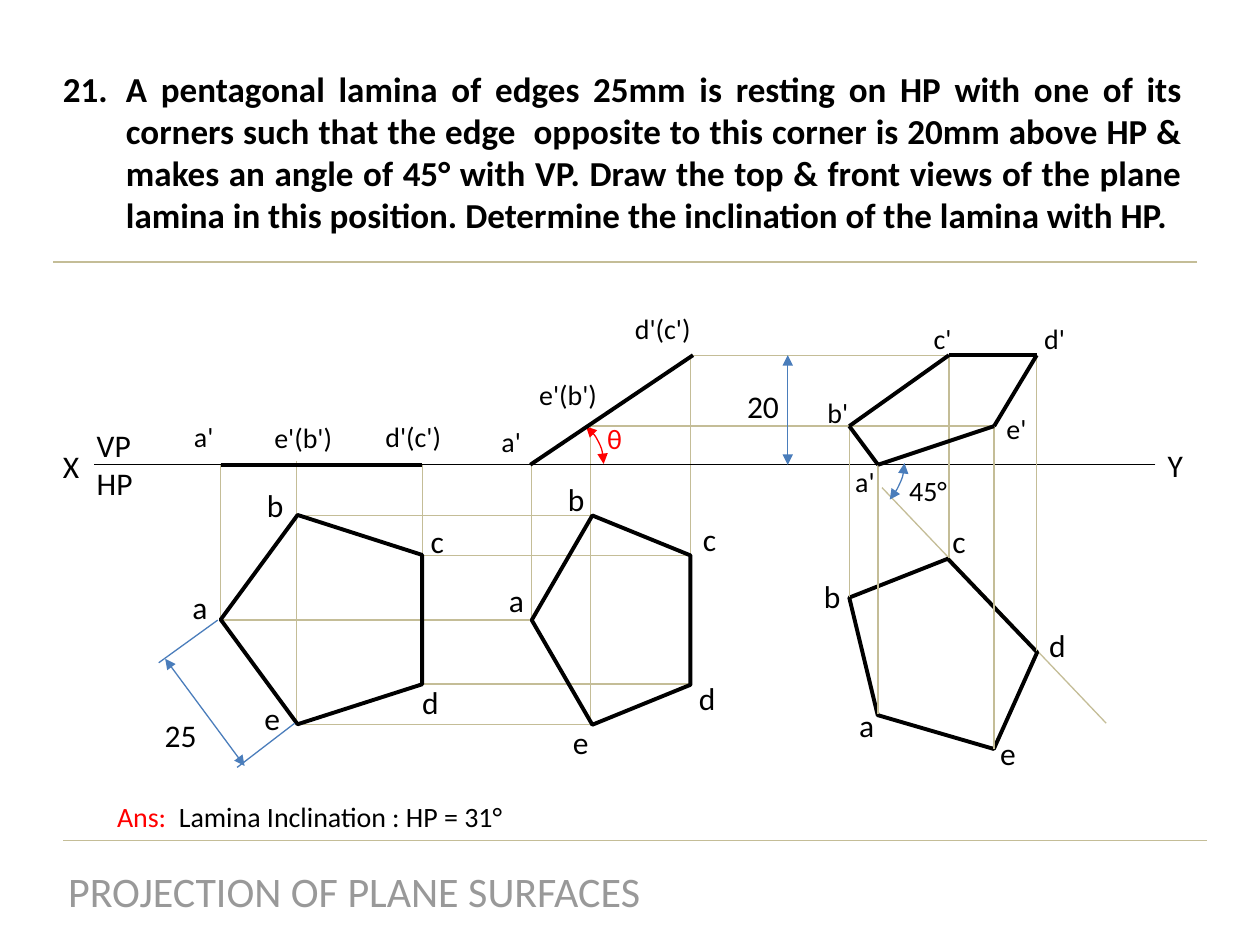
from dataclasses import dataclass
from typing import Optional

from lxml import etree
from pptx import Presentation
from pptx import util as u
from pptx.dml.color import RGBColor
from pptx.enum import shapes, text
from pptx.oxml.ns import qn


@dataclass(frozen=True)
class Theme:
    font: str = "Calibri"
    ink: str = "000000"
    guide: str = "C4BD97"
    dim: str = "4A7DBB"
    accent: str = "FF0000"
    footer: str = "999999"
    footer_pt: int = 24
    title_pt: int = 20
    point_pt: int = 18
    note_pt: int = 16
    thin: float = 0.75
    thick: float = 2.25


T = Theme()


@dataclass(frozen=True)
class Line:
    x1: float
    y1: float
    x2: float
    y2: float
    color: str = T.guide
    width: float = T.thin
    arrows: bool = False


@dataclass(frozen=True)
class Outline:
    kind: shapes.MSO_SHAPE
    x: float
    y: float
    w: float
    h: float
    rotation: float = 0
    color: str = T.ink
    width: float = T.thick
    angles: Optional[tuple[float, float]] = None


@dataclass(frozen=True)
class Label:
    x: float
    y: float
    words: str
    size: int = T.point_pt
    w: float = 0.97
    color: str = T.ink


# Levels and columns shared by the views, in centimetres
TOP, MID, XY = 7.16, 8.59, 9.37
YB, YC, YA, YD, YE = 10.39, 11.2, 12.5, 13.79, 14.6
A1, B1, C1 = 4.45, 5.97, 8.51
A2, B2, C2 = 10.72, 11.91, 13.92
A3, B3, C3, D3, E3 = 17.7, 17.12, 19.13, 20.9, 20.04
DIM_X = 15.88

RULES = [Line(24.33, 16.94, 1.27, 16.94), Line(24.13, 5.28, 1.07, 5.28)]
GUIDES = [
    *(Line(x1, y, x2, y) for x1, x2, y in (
        (C2, D3, TOP), (B2, E3, MID), (B1, B2, YB), (C1, C2, YC),
        (A1, A2, YA), (C1, C2, YD), (B1, B2, YE))),
    *(Line(x, y1, x, y2) for x, y1, y2 in (
        (A1, YA, XY), (B1, YE, 9.3), (C1, YD, XY),
        (A2, YA, XY), (B2, YE, MID), (C2, YD, TOP))),
    Line(17.78, 9.83, 22.3, 14.58),
]
FINAL_PROJECTORS = [Line(x, y1, x, y2) for x, y1, y2 in (
    (B3, 12.04, MID), (A3, 14.4, XY), (E3, 15.09, MID),
    (D3, 13.13, TOP), (C3, 11.25, TOP))]

FINAL_FRONT = [(A3, XY), (E3, MID), (D3, TOP), (C3, TOP), (B3, MID), (A3, XY)]
EDGES = [Line(*p, *q, T.ink, T.thick) for p, q in [
    ((A1, XY), (C1, XY)), ((A2 - 0.03, XY), (C2 + 0.05, TOP)),
    *zip(FINAL_FRONT, FINAL_FRONT[1:])]]
DIMENSIONS = [
    Line(3.33, 13.28, 4.93, 15.44, T.dim, arrows=True),
    Line(3.2, 13.36, 4.39, 12.5, T.dim),
    Line(4.78, 15.47, 5.94, 14.58, T.dim),
    Line(DIM_X, TOP, DIM_X, XY, T.dim, arrows=True),
]

PENTAGON, ARC = shapes.MSO_SHAPE.REGULAR_PENTAGON, shapes.MSO_SHAPE.ARC
PENTAGONS = [
    Outline(PENTAGON, 4.37, 10.46, 4.22, 4.06, 270),
    Outline(PENTAGON, 10.21, 10.9, 4.22, 3.2, 270),
    Outline(PENTAGON, 16.74, 11.71, 4.22, 3.2, 226.3),
]
ANGLES = [
    Outline(ARC, 10.49, 8.43, 1.68, 1.85, 0, T.accent, T.thin, (181.63, 0)),
    Outline(ARC, 16.71, 8.69, 1.3, 2.11, 44.6, T.dim, T.thin, (174.23, 207)),
]

LABELS = [
    *(Label(x, y, name) for x, y, name in (
        (1.02, 8.89, "X"), (23.29, 8.86, "Y"),
        (3.63, 11.73, "a"), (5.13, 9.68, "b"), (8.43, 10.39, "c"),
        (8.26, 13.64, "d"), (5.08, 13.97, "e"),
        (10.01, 11.58, "a"), (11.2, 9.55, "b"), (13.92, 10.36, "c"),
        (13.84, 13.56, "d"), (11.3, 14.45, "e"),
        (17.07, 14.1, "a"), (16.36, 11.51, "b"), (18.95, 10.39, "c"),
        (20.9, 12.5, "d"), (19.91, 14.68, "e"))),
    *(Label(x, y, name, T.note_pt) for x, y, name in (
        (3.66, 8.33, "a'"), (9.86, 8.43, "a'"), (16.99, 9.25, "a'"),
        (16.43, 7.85, "b'"), (18.57, 6.35, "c'"), (20.8, 6.35, "d'"),
        (20.04, 8.18, "e'"))),
    *(Label(x, y, name, T.note_pt, 1.75) for x, y, name in (
        (5.28, 8.36, "e'(b')"), (7.52, 8.33, "d'(c')"),
        (10.62, 7.49, "e'(b')"), (12.55, 6.15, "d'(c')"))),
    Label(1.7, 8.46, "VP\nHP", w=1.3),
    Label(3.07, 14.3, "25", w=1.2),
    Label(14.81, 7.67, "20", w=1.2),
    Label(11.99, 8.38, "θ", T.note_pt, 1.42, T.accent),
    Label(18.08, 9.42, "45°", T.note_pt, 1.42),
]

PROBLEM = ("A pentagonal lamina of edges 25mm is resting on HP with one of its corners "
           "such that the edge  opposite to this corner is 20mm above HP & makes an angle "
           "of 45° with VP. Draw the top & front views of the plane lamina in this "
           "position. Determine the inclination of the lamina with HP.")


def style_line(sp, color: str, width: float, arrows: bool) -> None:
    sp.line.color.rgb = RGBColor.from_string(color)
    sp.line.width = u.Pt(width)
    if arrows:
        ln = sp._element.spPr.find(qn("a:ln"))
        for end in ("a:headEnd", "a:tailEnd"):
            etree.SubElement(ln, qn(end), type="triangle")


def draw_line(s, line: Line) -> None:
    ends = (u.Cm(v) for v in (line.x1, line.y1, line.x2, line.y2))
    sp = s.shapes.add_connector(shapes.MSO_CONNECTOR.STRAIGHT, *ends)
    style_line(sp, line.color, line.width, line.arrows)
    etree.SubElement(sp._element.spPr, qn("a:effectLst"))


def draw_outline(s, o: Outline) -> None:
    sp = s.shapes.add_shape(o.kind, *(u.Cm(v) for v in (o.x, o.y, o.w, o.h)))
    sp.rotation = o.rotation
    for i, angle in enumerate(o.angles or ()):
        sp.adjustments[i] = angle
    sp.fill.background()
    sp.shadow.inherit = False
    style_line(sp, o.color, o.width, o.angles is not None)


def add_box(s, x: float, y: float, w: float, h: float):
    tf = s.shapes.add_textbox(*(u.Cm(v) for v in (x, y, w, h))).text_frame
    tf.word_wrap = True
    return tf


def add_run(p, words: str, size: int, color: str = T.ink, bold: bool = False) -> None:
    r = p.add_run()
    r.text = words
    r.font.name, r.font.size, r.font.bold = T.font, u.Pt(size), bold
    r.font.color.rgb = RGBColor.from_string(color)


def draw_label(s, label: Label) -> None:
    rows = label.words.split("\n")
    tf = add_box(s, label.x, label.y, label.w, 0.25 + 0.77 * len(rows))
    for i, row in enumerate(rows):
        p = tf.add_paragraph() if i else tf.paragraphs[0]
        add_run(p, row, label.size, label.color)


def draw_problem(s) -> None:
    p = add_box(s, 1.02, 1.24, 23.06, 3.68).paragraphs[0]
    p.alignment = text.PP_ALIGN.JUSTIFY
    pPr = p._p.get_or_add_pPr()
    pPr.set("marL", str(u.Cm(1.27)))
    pPr.set("indent", str(u.Cm(-1.27)))
    etree.SubElement(pPr, qn("a:buAutoNum"), type="arabicPeriod", startAt="21")
    add_run(p, PROBLEM, T.title_pt, bold=True)


def main() -> None:
    prs = Presentation()
    prs.slide_width, prs.slide_height = u.Cm(25.4), u.Cm(19.05)
    s = prs.slides.add_slide(prs.slide_layouts[6])

    draw_problem(s)
    for line in [*RULES, *GUIDES, Line(23.29, XY, 1.9, XY, T.ink)]:
        draw_line(s, line)
    for outline in PENTAGONS + ANGLES:
        draw_outline(s, outline)
    for line in FINAL_PROJECTORS + EDGES + DIMENSIONS:
        draw_line(s, line)
    for label in LABELS:
        draw_label(s, label)

    answer = add_box(s, 2.11, 16, 8.4, 0.94).paragraphs[0]
    add_run(answer, "Ans:  ", T.note_pt, T.accent)
    add_run(answer, "Lamina Inclination : HP = 31°", T.note_pt)

    footer = add_box(s, 1.07, 17.32, 12.14, 1.27).paragraphs[0]
    footer.alignment = text.PP_ALIGN.CENTER
    add_run(footer, "PROJECTION OF PLANE SURFACES", T.footer_pt, T.footer)
    prs.save("out.pptx")


if __name__ == "__main__":
    main()
